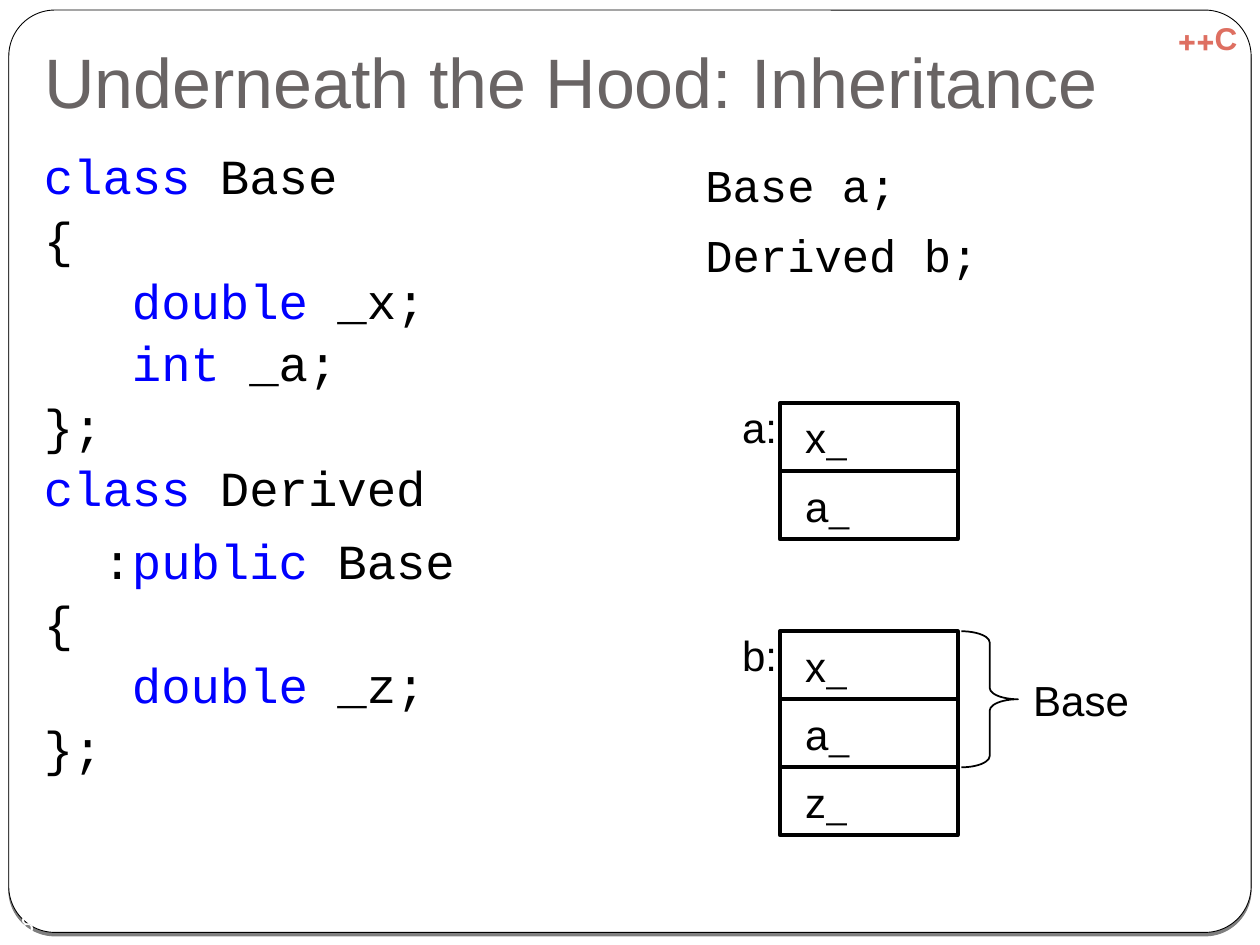
from lxml import etree
from pptx import Presentation
from pptx import util as u
from pptx.dml import color
from pptx.enum import shapes, text
from pptx.oxml import ns

COLORS = {"ink": "000000", "paper": "FFFFFF", "title": "696464",
          "keyword": "0000FF", "tag": "DE6F61"}
KEYWORD, INK = "keyword", "ink"


def rgb(name):
    return color.RGBColor.from_string(COLORS[name])


def write(shape, words, size, ink="ink", align=text.PP_ALIGN.LEFT, rtl=False,
          inset=(0.2, 0.15), anchor=text.MSO_ANCHOR.TOP, wrap=False):
    frame = shape.text_frame
    frame.word_wrap = wrap
    frame.vertical_anchor = anchor
    frame.margin_left = frame.margin_right = u.Inches(inset[0])
    frame.margin_top = frame.margin_bottom = u.Inches(inset[1])
    frame.text = words
    line = frame.paragraphs[0]
    line.alignment = align
    if rtl:
        line._p.get_or_add_pPr().set("rtl", "1")
    line.font.name = "Arial"
    line.font.size = u.Pt(size)
    line.font.color.rgb = rgb(ink)
    return line


deck = Presentation()
deck.slide_width, deck.slide_height = u.Inches(10), u.Inches(7.5)
slide = deck.slides.add_slide(deck.slide_layouts[5])
slide.background.fill.solid()
slide.background.fill.fore_color.rgb = rgb("paper")

card = slide.shapes.add_shape(shapes.MSO_SHAPE.ROUNDED_RECTANGLE, u.Inches(0.07),
                              u.Inches(0.08), u.Inches(9.86), u.Inches(7.32))
card.adjustments[0] = 0.05
card.fill.solid()
card.fill.fore_color.rgb = rgb("paper")
card.line.color.rgb = rgb("ink")
card.line.width = u.Pt(0.5)
card.shadow.inherit = False
effects = card.element.spPr.find(ns.qn("a:effectLst"))
shadow = etree.SubElement(effects, ns.qn("a:outerShdw"), blurRad="0",
                          dist=str(u.Pt(2)), dir="5400000", rotWithShape="0")
shade = etree.SubElement(shadow, ns.qn("a:srgbClr"), val=COLORS["ink"])
etree.SubElement(shade, ns.qn("a:alpha"), val="50000")
card.element.getparent().insert(2, card.element)

title = slide.shapes.title
title.left, title.top = u.Inches(0.25), u.Inches(0.3)
title.width, title.height = u.Inches(9.5), u.Inches(0.78)
heading = write(title, "Underneath the Hood: Inheritance", 40, "title",
                inset=(0.1, 0.05), anchor=text.MSO_ANCHOR.BOTTOM, wrap=True)
heading.line_spacing = 0.9
title.text_frame.margin_bottom = u.Inches(0.1)
title.text_frame.auto_size = text.MSO_AUTO_SIZE.NONE

tag = slide.shapes.add_textbox(u.Inches(9.17), u.Inches(0.1), u.Inches(0.83), u.Inches(0.4))
write(tag, "C++", 18, "tag", text.PP_ALIGN.CENTER, rtl=True,
      inset=(0.1, 0.05), wrap=True).font.bold = True

number = slide.shapes.add_textbox(u.Inches(0), u.Inches(7.17), u.Inches(0.33), u.Inches(0.33))
write(number, "18", 14, "paper", text.PP_ALIGN.CENTER, inset=(0, 0),
      anchor=text.MSO_ANCHOR.MIDDLE, wrap=True)

classes = [
    [("class", KEYWORD), (" Base\n{\n   ", INK), ("double", KEYWORD),
     (" _x;\n   ", INK), ("int", KEYWORD), (" _a;\n};\n", INK),
     ("class", KEYWORD), (" Derived", INK)],
    [("  :", INK), ("public", KEYWORD), (" Base\n{\n   ", INK),
     ("double", KEYWORD), (" _z;\n};", INK)],
]
objects = [[("Base a;\nDerived b;", INK)]]
for left, width, size, spacing, listing in [(0.25, 5.2, 28, 1.06, classes),
                                            (5.5, 4.25, 26, 1.28, objects)]:
    code = slide.shapes.add_textbox(u.Inches(left), u.Inches(1.08),
                                    u.Inches(width), u.Inches(6.17))
    frame = code.text_frame
    frame.word_wrap = True
    for index, pieces in enumerate(listing):
        block = frame.add_paragraph() if index else frame.paragraphs[0]
        block.line_spacing = spacing
        if index:
            block.space_before = u.Pt(5.8)
        block.font.name = "Courier New"
        block.font.size = u.Pt(size)
        for words, ink in pieces:
            for row, part in enumerate(words.split("\n")):
                if row:
                    block.add_line_break()
                if part:
                    run = block.add_run()
                    run.text = part
                    run.font.color.rgb = rgb(ink)

FIELD_HEIGHT = 0.54
for name, top, fields in [("a:", 3.2, ["_x", "_a"]), ("b:", 5.01, ["_x", "_a", "_z"])]:
    for row, field in enumerate(fields):
        cell = slide.shapes.add_shape(
            shapes.MSO_SHAPE.RECTANGLE, u.Inches(6.19), u.Inches(top + row * FIELD_HEIGHT),
            u.Inches(1.41), u.Inches(FIELD_HEIGHT))
        cell.shadow.inherit = False
        cell.fill.background()
        cell.line.color.rgb = rgb("ink")
        cell.line.width = u.Pt(2.25)
        write(cell, field, 24, rtl=True, anchor=text.MSO_ANCHOR.MIDDLE, wrap=True)
    label = slide.shapes.add_textbox(u.Inches(5.69), u.Inches(top - 0.16),
                                     u.Inches(0.68), u.Inches(0.7))
    write(label, name, 24)

brace = slide.shapes.add_shape(shapes.MSO_SHAPE.RIGHT_BRACE, u.Inches(7.63), u.Inches(5.01),
                               u.Inches(0.45), u.Inches(2 * FIELD_HEIGHT))
brace.adjustments[0] = 0.2
brace.shadow.inherit = False
brace.fill.background()
brace.line.color.rgb = rgb("ink")
brace.line.width = u.Pt(1)
base = slide.shapes.add_textbox(u.Inches(7.91), u.Inches(5.2), u.Inches(1.25), u.Inches(0.7))
write(base, "Base", 24, align=text.PP_ALIGN.RIGHT, rtl=True, wrap=True)

deck.save("out.pptx")
